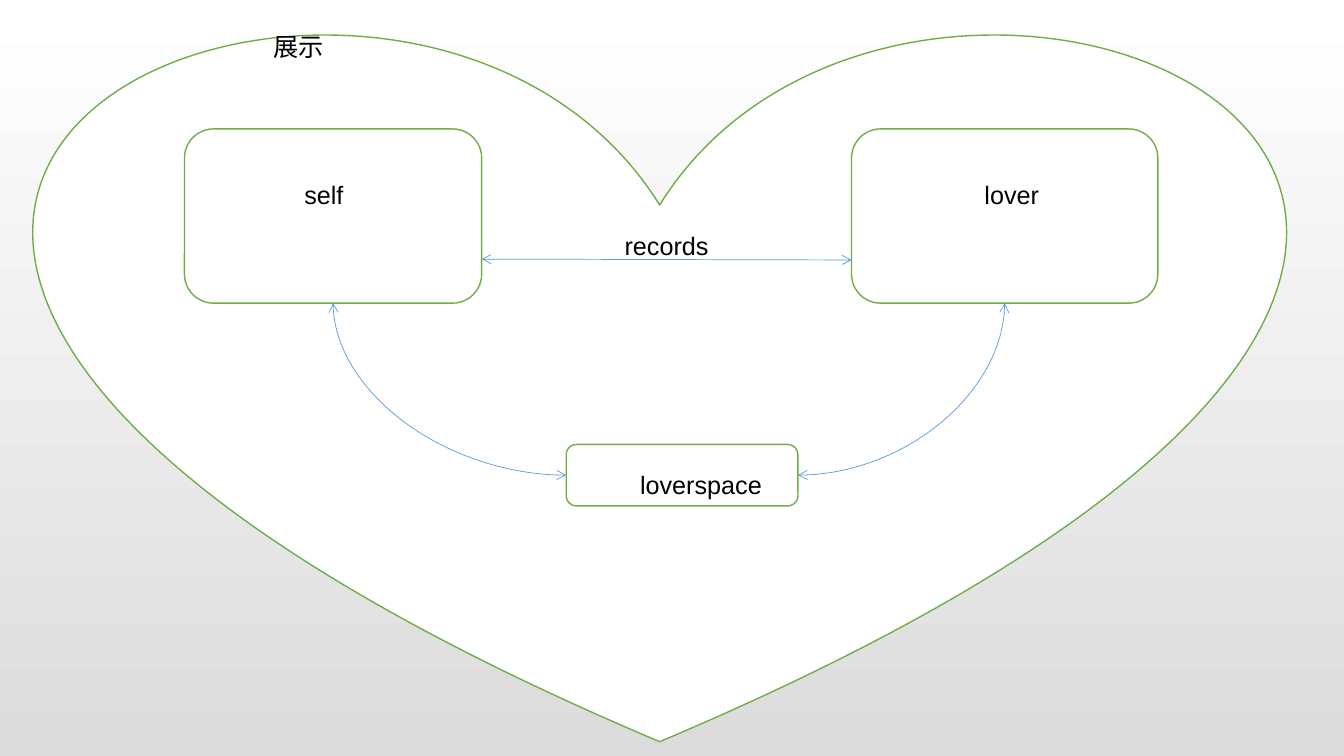
import pptx
import pptx.dml.color
import pptx.enum.shapes
import pptx.enum.text
import pptx.oxml
import pptx.oxml.ns
import pptx.util
from pptx.util import Cm

WHITE = pptx.dml.color.RGBColor(0xFF, 0xFF, 0xFF)
GREY = pptx.dml.color.RGBColor(0xDC, 0xDC, 0xDC)
BLACK = pptx.dml.color.RGBColor(0x00, 0x00, 0x00)
GREEN = pptx.dml.color.RGBColor(0x70, 0xAD, 0x47)
BLUE = pptx.dml.color.RGBColor(0x5B, 0x9B, 0xD5)

SHAPE = pptx.enum.shapes.MSO_SHAPE
CONNECTOR = pptx.enum.shapes.MSO_CONNECTOR
LEFT_SITE, BOTTOM_SITE, RIGHT_SITE = 1, 2, 3


class Diagram:
    """Holds the style and the current slide."""

    font_name = "Arial"
    font_size = pptx.util.Pt(18)

    def __init__(self, slide):
        self.slide = slide

    def background(self, top, bottom):
        fill = self.slide.background.fill
        fill.gradient()
        fill.gradient_angle = 270
        for stop, color in zip(fill.gradient_stops, (top, bottom)):
            stop.color.rgb = color

    def outline(self, kind, left, top, width, height):
        shape = self.slide.shapes.add_shape(
            kind, Cm(left), Cm(top), Cm(width), Cm(height))
        shape.shadow.inherit = False
        shape.fill.solid()
        shape.fill.fore_color.rgb = WHITE
        shape.line.color.rgb = GREEN
        shape.line.width = pptx.util.Pt(1)
        return shape

    def label(self, text, left, top, width, height=1.02):
        box = self.slide.shapes.add_textbox(
            Cm(left), Cm(top), Cm(width), Cm(height))
        frame = box.text_frame
        frame.word_wrap = False
        frame.auto_size = pptx.enum.text.MSO_AUTO_SIZE.SHAPE_TO_FIT_TEXT
        frame.text = text
        font = frame.paragraphs[0].runs[0].font
        font.name = self.font_name
        font.size = self.font_size
        font.color.rgb = BLACK

    def arrow(self, kind, start=(0, 0), end=(0, 0)):
        connector = self.slide.shapes.add_connector(
            kind, *(Cm(length) for length in start + end))
        connector.line.color.rgb = BLUE
        connector.line.width = pptx.util.Pt(0.5)
        line = connector.line._get_or_add_ln()
        for tag in ("a:headEnd", "a:tailEnd"):
            line.append(pptx.oxml.parse_xml(
                f'<{tag} {pptx.oxml.ns.nsdecls("a")} type="arrow"/>'))
        connector._element.spPr.append(
            pptx.oxml.parse_xml(f'<a:effectLst {pptx.oxml.ns.nsdecls("a")}/>'))
        return connector

    def curved_arrow(self, first, first_site, second, second_site):
        connector = self.arrow(CONNECTOR.CURVE)
        geometry = connector._element.spPr.find(pptx.oxml.ns.qn("a:prstGeom"))
        geometry.set("prst", "curvedConnector2")
        connector.begin_connect(first, first_site)
        connector.end_connect(second, second_site)


presentation = pptx.Presentation()
presentation.slide_width = Cm(33.87)
presentation.slide_height = Cm(19.05)
diagram = Diagram(presentation.slides.add_slide(presentation.slide_layouts[6]))
diagram.background(WHITE, GREY)

# Heart and its caption
diagram.outline(SHAPE.HEART, 0.94, 0.66, 31.37, 18.03)
diagram.label("展示", 6.65, 0.66, 1.78)

# Boxes
self_box = diagram.outline(SHAPE.ROUNDED_RECTANGLE, 4.65, 3.25, 7.49, 4.39)
lover_box = diagram.outline(SHAPE.ROUNDED_RECTANGLE, 21.46, 3.25, 7.72, 4.39)
space_box = diagram.outline(SHAPE.ROUNDED_RECTANGLE, 14.27, 11.2, 5.84, 1.55)

# Arrows between the boxes
diagram.arrow(CONNECTOR.STRAIGHT, (12.14, 6.53), (21.46, 6.55))
diagram.curved_arrow(space_box, LEFT_SITE, self_box, BOTTOM_SITE)
diagram.curved_arrow(space_box, RIGHT_SITE, lover_box, BOTTOM_SITE)

# Labels
diagram.label("self", 7.42, 4.39, 1.5)
diagram.label("lover", 24.56, 4.39, 1.88)
diagram.label("records", 15.49, 5.69, 2.62)
diagram.label("loverspace", 15.88, 11.71, 3.58, 1.8)

presentation.save("out.pptx")
